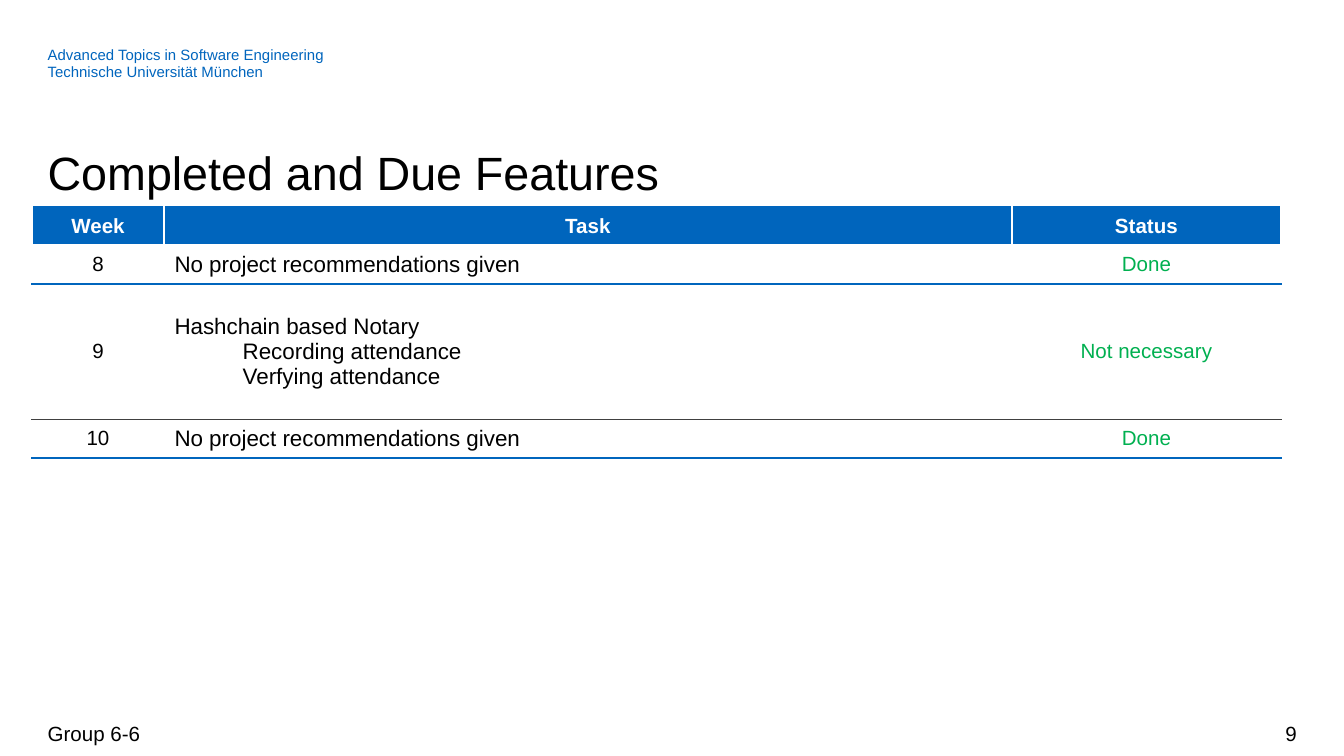
"""Build the slide listing completed and due features by week."""
from dataclasses import dataclass

import pptx
import pptx.dml.color
import pptx.enum.text
import pptx.oxml
import pptx.oxml.ns
import pptx.presentation
import pptx.slide
import pptx.table
import pptx.text.text
import pptx.util

Pt = pptx.util.Pt
RGBColor = pptx.dml.color.RGBColor
Align = pptx.enum.text.PP_ALIGN
Anchor = pptx.enum.text.MSO_ANCHOR

BLUE = RGBColor(0x00, 0x65, 0xBD)
GREEN = RGBColor(0x00, 0xB0, 0x50)
GREY = RGBColor(0x40, 0x40, 0x40)
BLACK = RGBColor(0, 0, 0)
WHITE = RGBColor(255, 255, 255)
FONT = "Arial"
SUBTASK_INDENT = 36.5


@dataclass(frozen=True)
class Caption:
    lines: tuple[str, ...]
    left: float
    top: float
    width: float
    height: float
    size: float
    color: RGBColor = BLACK
    line_spacing: float | None = None
    align: Align = Align.LEFT
    anchor: Anchor = Anchor.TOP
    inset: float = 0


@dataclass(frozen=True)
class Entry:
    week: str
    task: str
    status: str
    height: float
    subtasks: tuple[str, ...] = ()


@dataclass(frozen=True)
class Rule:
    color: RGBColor
    width: float


CAPTIONS = (
    Caption(("9",), 533.5, 382.3, 161.3, 21.6, 11,
            align=Align.RIGHT, anchor=Anchor.MIDDLE, inset=3.6),
    Caption(("Advanced Topics in Software Engineering",
             "Technische Universität München"),
            25.5, 25.2, 563.8, 18, 8, color=BLUE, line_spacing=9),
    Caption(("Completed and Due Features",),
            25.5, 74.9, 669, 32, 25, line_spacing=32),
    Caption(("Group 6-6",), 25.5, 382.3, 669, 21.6, 11,
            anchor=Anchor.MIDDLE, inset=3.6),
)

HEADINGS = ("Week", "Task", "Status")
HEADING_HEIGHT = 20.5
ENTRIES = (
    Entry("8", "No project recommendations given", "Done", 20.8),
    Entry("9", "Hashchain based Notary", "Not necessary", 72.4,
          ("Recording attendance", "Verfying attendance")),
    Entry("10", "No project recommendations given", "Done", 20.8),
)
TABLE_LEFT, TABLE_TOP = 17.2, 110.9
COLUMN_WIDTHS = (70.6, 454.3, 144.2)
COLUMN_RULE = Rule(WHITE, 1)
ROW_RULES = (Rule(BLUE, 0.75), Rule(WHITE, 1), Rule(BLUE, 0.75),
             Rule(GREY, 0.5), Rule(BLUE, 0.75))


def add_run(paragraph: pptx.text.text._Paragraph, text: str, size: float,
            color: RGBColor, bold: bool = False) -> None:
    run = paragraph.add_run()
    run.text = text
    run.font.name = FONT
    run.font.size = Pt(size)
    run.font.bold = bold
    run.font.color.rgb = color


def add_caption(slide: pptx.slide.Slide, caption: Caption) -> None:
    box = slide.shapes.add_textbox(Pt(caption.left), Pt(caption.top),
                                   Pt(caption.width), Pt(caption.height))
    frame = box.text_frame
    frame.word_wrap = True
    frame.vertical_anchor = caption.anchor
    frame.margin_left = frame.margin_right = 0
    frame.margin_top = frame.margin_bottom = Pt(caption.inset)
    for index, line in enumerate(caption.lines):
        paragraph = frame.add_paragraph() if index else frame.paragraphs[0]
        paragraph.alignment = caption.align
        if caption.line_spacing:
            paragraph.line_spacing = Pt(caption.line_spacing)
        add_run(paragraph, line, caption.size, caption.color)


def set_borders(cell: pptx.table._Cell, row: int, column: int) -> None:
    rules = {"lnT": ROW_RULES[row], "lnB": ROW_RULES[row + 1]}
    if column > 0:
        rules["lnL"] = COLUMN_RULE
    if column < len(HEADINGS) - 1:
        rules["lnR"] = COLUMN_RULE
    properties = cell._tc.get_or_add_tcPr()
    for side in ("lnB", "lnT", "lnR", "lnL"):
        if side in rules:
            rule = rules[side]
            properties.insert(0, pptx.oxml.parse_xml(
                f'<a:{side} {pptx.oxml.ns.nsdecls("a")} w="{int(Pt(rule.width))}">'
                f'<a:solidFill><a:srgbClr val="{rule.color}"/></a:solidFill>'
                f'</a:{side}>'))


def fill_cell(cell: pptx.table._Cell, text: str, fill: RGBColor, color: RGBColor,
              size: float = 11, bold: bool = False, align: Align = Align.CENTER,
              subtasks: tuple[str, ...] = ()) -> None:
    cell.fill.solid()
    cell.fill.fore_color.rgb = fill
    cell.vertical_anchor = Anchor.MIDDLE
    cell.margin_left = cell.margin_right = Pt(5.7)
    cell.margin_top = cell.margin_bottom = Pt(2.9)
    first = cell.text_frame.paragraphs[0]
    first.alignment = align
    add_run(first, text, size, color, bold)
    for subtask in subtasks:
        paragraph = cell.text_frame.add_paragraph()
        paragraph.alignment = align
        paragraph._p.get_or_add_pPr().set("marL", str(int(Pt(SUBTASK_INDENT))))
        add_run(paragraph, subtask, size, color)


def add_schedule(slide: pptx.slide.Slide) -> None:
    heights = (HEADING_HEIGHT, *(entry.height for entry in ENTRIES))
    schedule = slide.shapes.add_table(
        len(heights), len(HEADINGS), Pt(TABLE_LEFT), Pt(TABLE_TOP),
        Pt(sum(COLUMN_WIDTHS)), Pt(sum(heights))).table
    schedule.horz_banding = False
    for column, width in zip(schedule.columns, COLUMN_WIDTHS):
        column.width = Pt(width)
    for row, height in zip(schedule.rows, heights):
        row.height = Pt(height)
    for column, heading in enumerate(HEADINGS):
        fill_cell(schedule.cell(0, column), heading, BLUE, WHITE, bold=True)
    for row, entry in enumerate(ENTRIES, start=1):
        fill_cell(schedule.cell(row, 0), entry.week, WHITE, BLACK)
        fill_cell(schedule.cell(row, 1), entry.task, WHITE, BLACK, size=12,
                  align=Align.LEFT, subtasks=entry.subtasks)
        fill_cell(schedule.cell(row, 2), entry.status, WHITE, GREEN)
    for row in range(len(heights)):
        for column in range(len(HEADINGS)):
            set_borders(schedule.cell(row, column), row, column)


def main() -> None:
    presentation = pptx.Presentation()
    presentation.slide_width = Pt(720)
    presentation.slide_height = Pt(405)
    slide = presentation.slides.add_slide(presentation.slide_layouts[6])
    for caption in CAPTIONS:
        add_caption(slide, caption)
    add_schedule(slide)
    presentation.save("out.pptx")


if __name__ == "__main__":
    main()
